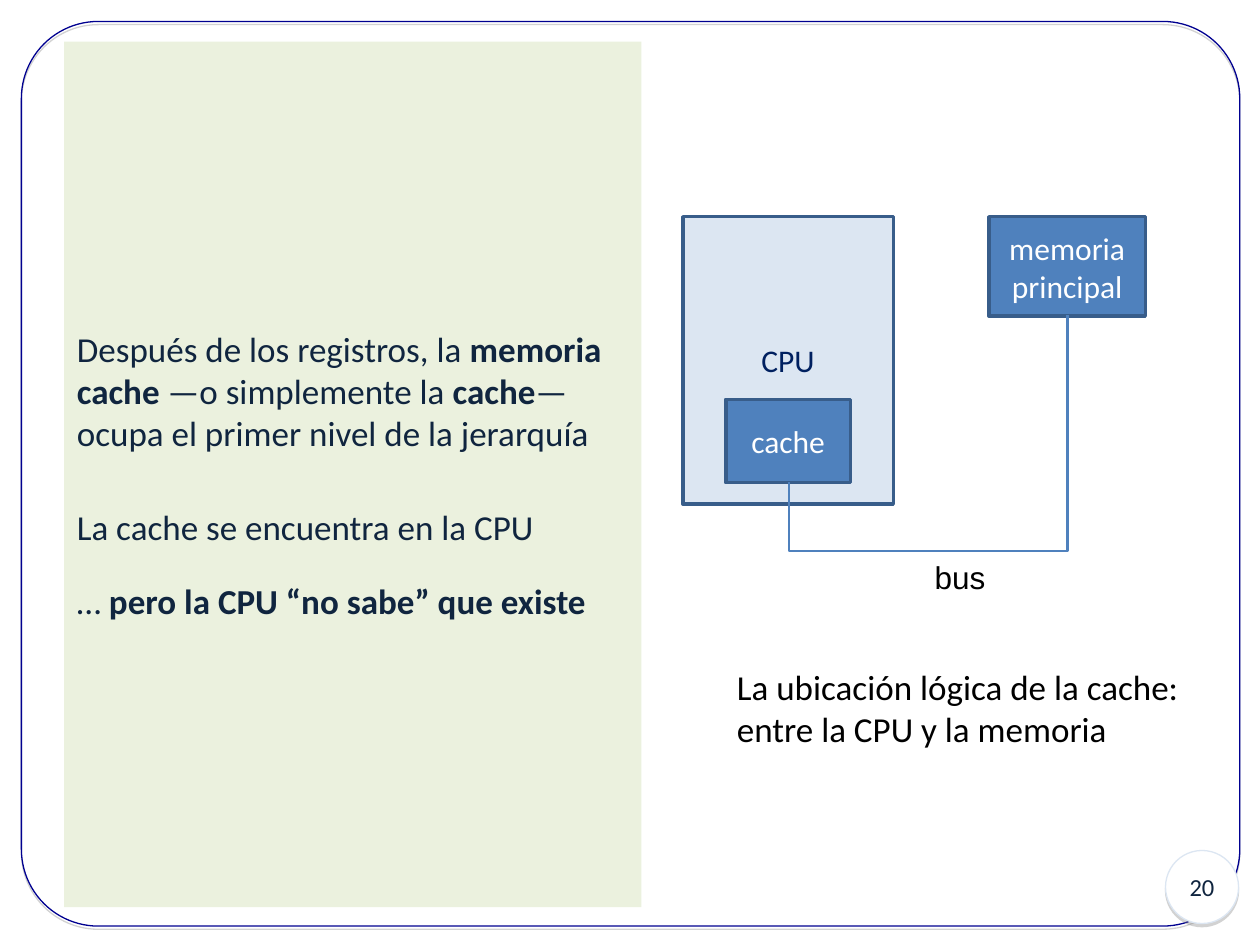
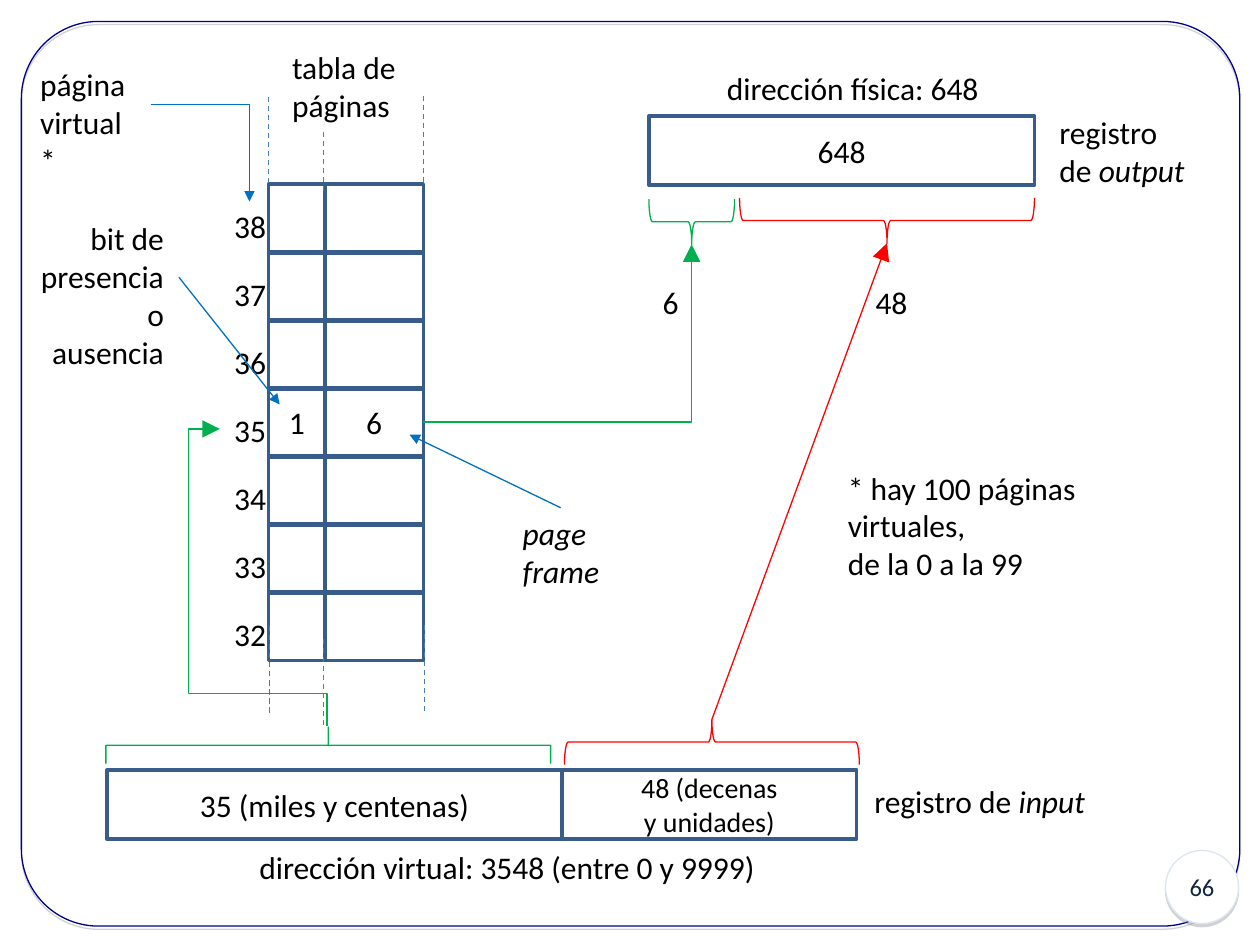
from dataclasses import dataclass

from lxml import etree
from pptx import Presentation
from pptx.dml.color import RGBColor
from pptx.enum.dml import MSO_LINE
from pptx.enum.shapes import MSO_CONNECTOR, MSO_SHAPE
from pptx.enum.text import MSO_ANCHOR, MSO_AUTO_SIZE, PP_ALIGN
from pptx.oxml.ns import qn
from pptx.util import Inches, Pt

LEFT, CENTER, RIGHT = PP_ALIGN.LEFT, PP_ALIGN.CENTER, PP_ALIGN.RIGHT
MIDDLE, TOP = MSO_ANCHOR.MIDDLE, MSO_ANCHOR.TOP
FIT, FIXED = MSO_AUTO_SIZE.SHAPE_TO_FIT_TEXT, MSO_AUTO_SIZE.NONE
RECT, OVAL, ROUNDED = MSO_SHAPE.RECTANGLE, MSO_SHAPE.OVAL, MSO_SHAPE.ROUNDED_RECTANGLE
BRACE = MSO_SHAPE.LEFT_BRACE
STRAIGHT, ELBOW = MSO_CONNECTOR.STRAIGHT, MSO_CONNECTOR.ELBOW
DASH = MSO_LINE.DASH
COLUMNS, ROWS = 100, 75


@dataclass(frozen=True)
class Theme:
    font: str = "Calibri"
    bus_font: str = "Arial"
    body: int = 20
    label: int = 18
    small: int = 16
    number: int = 14
    thin: float = 0.75
    bus_line: float = 1.5
    thick: float = 2
    black: str = "000000"
    white: str = "FFFFFF"
    ink: str = "10253F"
    navy: str = "002060"
    frame: str = "000090"
    ring: str = "DCE6F2"
    panel: str = "EBF1DE"
    unit: str = "4F81BD"
    border: str = "385D8A"
    guide: str = "4A7EBB"
    page: str = "00B050"
    offset: str = "FF0000"
    pointer: str = "0070C0"
    shadow: str = "808080"


class Deck:
    def __init__(self, theme):
        self.theme = theme
        self.presentation = Presentation()
        self.presentation.slide_width = Inches(10)
        self.presentation.slide_height = Inches(7.5)
        self.column = self.presentation.slide_width / COLUMNS
        self.row = self.presentation.slide_height / ROWS
        self.slide = None

    def place(self, left, top, width, height):
        return (round(left * self.column), round(top * self.row),
                round(width * self.column), round(height * self.row))

    def new_slide(self, number, layout):
        t = self.theme
        layouts = self.presentation.slide_layouts
        self.slide = self.presentation.slides.add_slide(layouts.get_by_name(layout))
        border = self.shape((1.7, 1.7, 96.7, 71.8), ROUNDED, line=t.frame, width=t.thin)
        border.adjustments[0] = 0.085
        badge = self.shape((92.5, 67.5, 5.8, 5.8), OVAL, [number], fill=t.white,
                           line=t.ring, width=t.thin, color=t.ink, size=t.number)
        for item in (border, badge):
            self.cast_shadow(item)

    def cast_shadow(self, shape):
        effects = shape.element.spPr.find(qn("a:effectLst"))
        shadow = etree.SubElement(effects, qn("a:outerShdw"), blurRad="0",
                                  dist=str(Pt(1.8)), dir="5400000", rotWithShape="0")
        color = etree.SubElement(shadow, qn("a:srgbClr"), val=self.theme.shadow)
        etree.SubElement(color, qn("a:alpha"), val="35000")

    def paint(self, shape, fill, line, width):
        if fill:
            shape.fill.solid()
            shape.fill.fore_color.rgb = RGBColor.from_string(fill)
        else:
            shape.fill.background()
        if line:
            shape.line.color.rgb = RGBColor.from_string(line)
            shape.line.width = Pt(width)
        else:
            shape.line.fill.background()

    def add_text(self, frame, paragraphs, size=None, color=None, align=LEFT,
                 font=None, gaps=()):
        t = self.theme
        for index, runs in enumerate(paragraphs):
            paragraph = frame.paragraphs[0] if index == 0 else frame.add_paragraph()
            paragraph.alignment = align
            if gaps:
                paragraph.space_before = Pt(gaps[index])
            for piece in [runs] if isinstance(runs, str) else runs:
                text, style = (piece, "") if isinstance(piece, str) else piece
                run = paragraph.add_run()
                run.text = text
                run.font.name = font or t.font
                run.font.size = Pt(size or t.label)
                run.font.color.rgb = RGBColor.from_string(color or t.black)
                run.font.bold = style == "bold"
                run.font.italic = style == "italic"

    def shape(self, area, kind=RECT, paragraphs=(), fill=None, line=None,
              width=None, color=None, size=None):
        shape = self.slide.shapes.add_shape(kind, *self.place(*area))
        shape.shadow.inherit = False
        self.paint(shape, fill, line, width or self.theme.thick)
        shape.text_frame.vertical_anchor = MIDDLE
        self.add_text(shape.text_frame, paragraphs, size, color, CENTER)
        return shape

    def block(self, area, *paragraphs, fill=None, color=None, size=None):
        self.shape(area, RECT, paragraphs, fill, self.theme.border, None, color, size)

    def label(self, area, *paragraphs, wrap=False, fill=None, **style):
        box = self.slide.shapes.add_textbox(*self.place(*area))
        self.paint(box, fill, None, None)
        frame = box.text_frame
        frame.word_wrap = wrap
        frame.auto_size = FIT
        frame.vertical_anchor = TOP
        self.add_text(frame, paragraphs, **style)

    def body(self, area, paragraphs, gaps):
        t = self.theme
        title = self.slide.shapes.title
        title.element.getparent().remove(title.element)
        panel = self.slide.placeholders[1]
        panel.left, panel.top, panel.width, panel.height = self.place(*area)
        self.paint(panel, t.panel, None, None)
        frame = panel.text_frame
        frame.word_wrap = True
        frame.auto_size = FIXED
        frame.vertical_anchor = MIDDLE
        self.add_text(frame, paragraphs, t.body, t.ink, gaps=gaps)
        for paragraph in frame.paragraphs:
            properties = paragraph._p.get_or_add_pPr()
            properties.set("marL", "0")
            properties.set("indent", "0")
            etree.SubElement(properties, qn("a:buNone"))

    def brace(self, area, turn, color, curve=0.08):
        left, top, width, height = area
        upright = (left + (width - height) / 2, top + (height - width) / 2, height, width)
        brace = self.shape(upright, BRACE, line=color, width=self.theme.thin)
        brace.rotation = turn
        brace.adjustments[0] = curve

    def line(self, start, end, color, width=None, kind=STRAIGHT, dash=None, head=None):
        line = self.slide.shapes.add_connector(kind, *self.place(*start, *end))
        line.line.color.rgb = RGBColor.from_string(color)
        line.line.width = Pt(width or self.theme.thin)
        if dash:
            line.line.dash_style = dash
        properties = line.element.spPr
        if head:
            etree.SubElement(properties.find(qn("a:ln")), qn("a:tailEnd"),
                             type="triangle", w=head, len=head)
        etree.SubElement(properties, qn("a:effectLst"))
        return line

    def elbow(self, start, end, color, bends, turn=0, shares=(), **style):
        properties = self.line(start, end, color, kind=ELBOW, **style).element.spPr
        properties.find(qn("a:xfrm")).set("rot", str(turn * 60000))
        geometry = properties.find(qn("a:prstGeom"))
        geometry.set("prst", f"bentConnector{bends}")
        guides = geometry.find(qn("a:avLst"))
        for index, share in enumerate(shares, 1):
            name = "adj" if len(shares) == 1 else f"adj{index}"
            name = f"adj{index}"
            etree.SubElement(guides, qn("a:gd"), name=name,
                             fmla=f"val {round(share * 100000)}")


def cache_location(deck):
    t = deck.theme
    deck.new_slide("20", "Title and Content")
    deck.body((5.1, 3.3, 45.8, 68.7), [
        ["Después de los registros, la ", ("memoria cache", "bold"),
         " —o simplemente la ", ("cache", "bold"),
         "— ocupa el primer nivel de la jerarquía"],
        "La cache se encuentra en la CPU",
        ["… ", ("pero la CPU “no sabe” que existe", "bold")],
    ], gaps=(0, 30, 18))
    deck.block((54.2, 17.2, 16.7, 22.8), "CPU", fill=t.ring, color=t.navy)
    deck.block((57.6, 31.7, 9.9, 6.6), "cache", fill=t.unit, color=t.white)
    deck.block((78.5, 17.2, 12.4, 7.9), "memoria", "principal", fill=t.unit, color=t.white)
    deck.elbow((80.3, 42.7), (67, 20.6), t.unit, 3, turn=90, shares=[-0.41],
               width=t.bus_line)
    deck.label((73.2, 43.8, 6, 4), "bus", font=t.bus_font)
    deck.label((57.5, 52.3, 37.5, 7.7),
               "La ubicación lógica de la cache: entre la CPU y la memoria",
               wrap=True, size=t.body)


def address_translation(deck):
    t = deck.theme
    deck.new_slide("66", "Blank")

    deck.block((8.5, 61.1, 36.1, 5.5), "35 (miles y centenas)")
    deck.block((44.6, 61.1, 23.4, 5.5), "48 (decenas", "y unidades)", size=t.small)
    deck.block((51.5, 9.2, 30.6, 5.5), "648")

    bit_left, frame_left, table_right = 21.3, 25.8, 33.6
    table_top, row_step, row_height = 14.6, 5.39, 5.5
    for index, page in enumerate(range(38, 31, -1)):
        top = table_top + index * row_step
        bit, page_frame = (["1"], ["6"]) if page == 35 else ([], [])
        deck.block((frame_left, top, table_right - frame_left, row_height), *page_frame)
        deck.block((bit_left, top, frame_left - bit_left, row_height), *bit)
        deck.label((17.6, top + 1.35, 4.5, 4), str(page))

    for x, top in ((21.3, 7.7), (25.7, 8.3), (33.6, 7.6),
                   (21.4, 49.7), (25.7, 50.7), (33.7, 49.6)):
        deck.line((x, top), (x, top + 7), t.guide, dash=DASH)

    deck.brace((8.4, 57.7, 35.3, 2.9), 90, t.page, curve=0)
    deck.brace((44.8, 57.1, 23.4, 3.6), 90, t.offset)
    deck.brace((51.5, 15.8, 6.8, 3.6), 270, t.page)
    deck.brace((58.7, 15.7, 23.4, 3.6), 270, t.offset)

    deck.line((56.5, 57.1), (70.4, 19.3), t.offset, head="lg")
    deck.line((14.2, 22), (22.2, 32.1), t.pointer, head="med")
    deck.line((44.5, 40.3), (32.5, 34.5), t.pointer, head="med")
    deck.elbow((12, 8.3), (19.8, 16), t.pointer, 2, head="med")
    deck.elbow((33.6, 33.5), (54.9, 19.4), t.page, 2, head="lg")
    deck.elbow((9.9, 50.1), (33.5, 41.6), t.page, 4, turn=270,
               shares=[0.11, 1.29], head="lg")

    deck.label((22.2, 3.3, 10.2, 7), "tabla de", "páginas", fill=t.white)
    deck.label((2.2, 4.7, 9.7, 7), "página", "virtual*")
    deck.label((1.3, 16.9, 12.7, 10), "bit de", "presencia", "o ausencia", align=RIGHT)
    deck.label((40.5, 40.3, 8.1, 7), [("page", "italic")], [("frame", "italic")])
    deck.label((56.7, 5, 22, 4), "dirección física: 648")
    deck.label((83.1, 8.5, 11.9, 7), "registro", ["de ", ("output", "italic")])
    deck.label((51.6, 22, 3.2, 4), "6")
    deck.label((68.5, 22, 4.5, 4), "48")
    deck.label((66.3, 36.7, 29.9, 7), "* hay 100 páginas virtuales,", "de la 0 a la 99")
    deck.label((68.4, 61.6, 18.8, 4), ["registro de ", ("input", "italic")])
    deck.label((19.6, 66.8, 41.4, 4), "dirección virtual: 3548 (entre 0 y 9999)")


def main():
    deck = Deck(Theme())
    cache_location(deck)
    address_translation(deck)
    deck.presentation.save("out.pptx")


if __name__ == "__main__":
    main()
